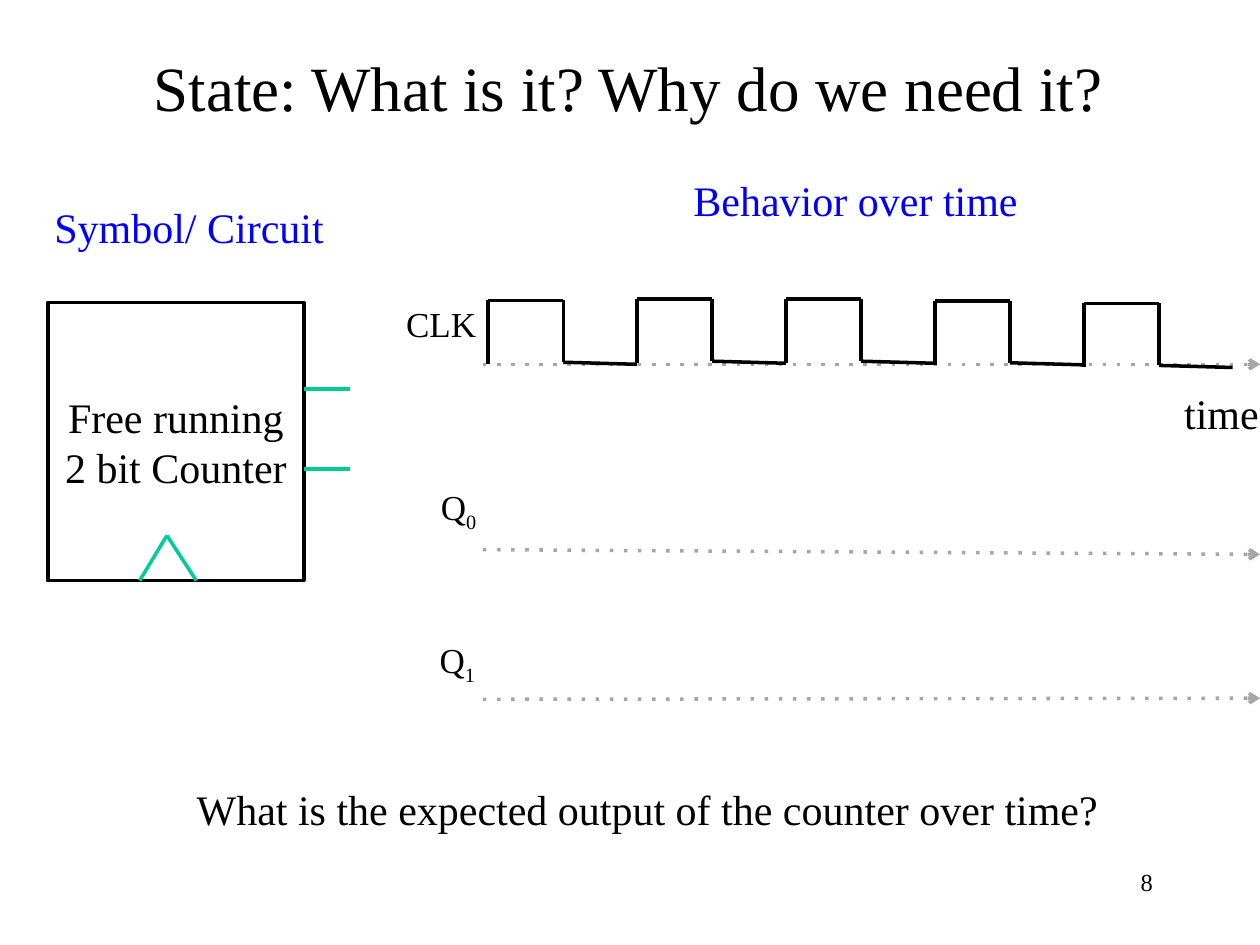
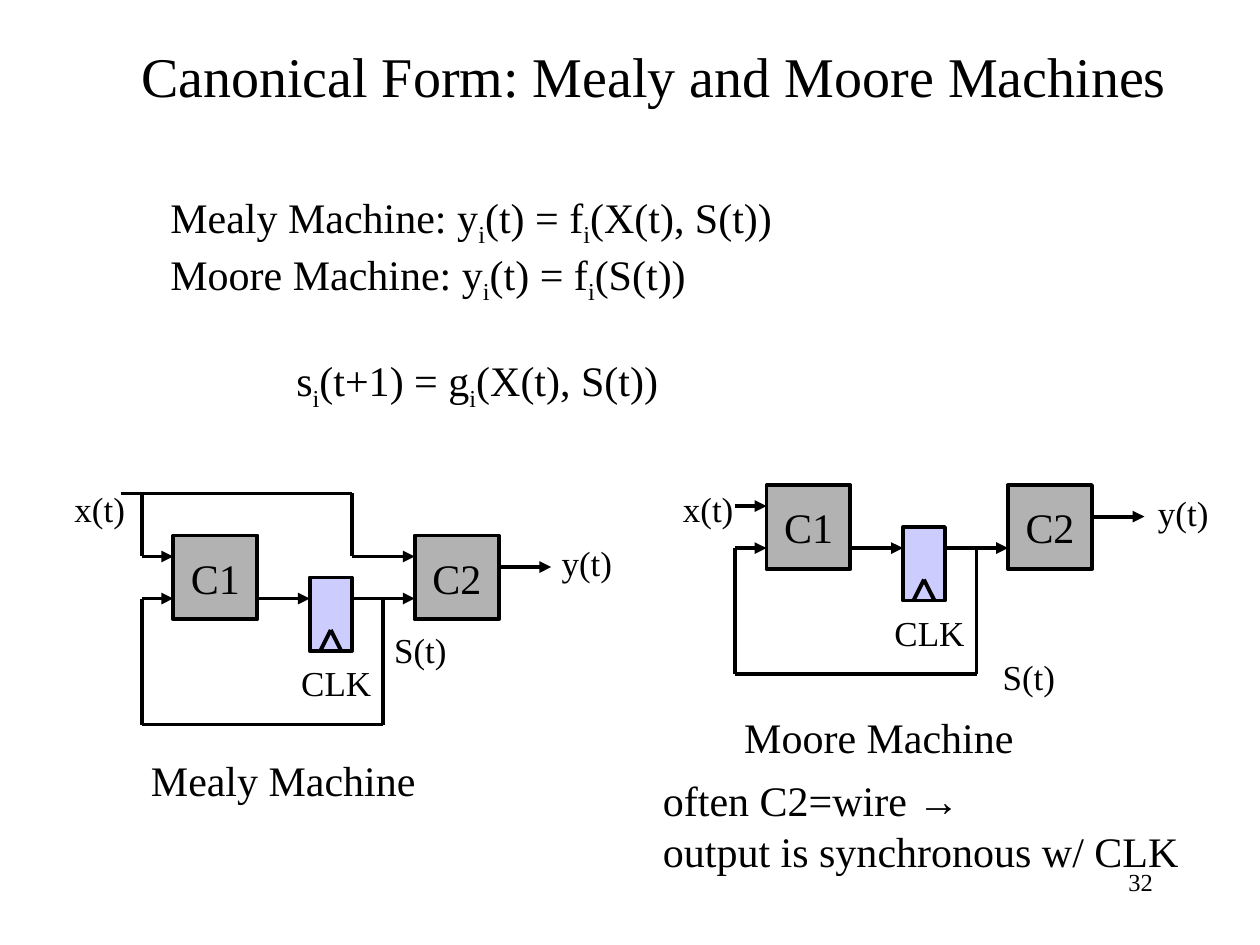
from dataclasses import dataclass
from itertools import groupby, pairwise

from lxml.etree import SubElement
from pptx import Presentation
from pptx.dml.color import RGBColor
from pptx.enum.shapes import MSO_CONNECTOR, MSO_SHAPE
from pptx.enum.text import MSO_ANCHOR, MSO_AUTO_SIZE, PP_ALIGN
from pptx.oxml.ns import qn
from pptx.util import Inches, Pt

CELL = Inches(1) / 12  # the slide is a grid of 120 columns by 90 rows
COLUMNS, ROWS = 120, 90


@dataclass(frozen=True)
class Theme:
    ink: str = "000000"
    paper: str = "FFFFFF"
    heading: str = "0000FF"
    pin: str = "00CC99"
    axis: str = "A6A6A6"
    logic: str = "B2B2B2"
    register: str = "CCCCFF"
    font: str = "Times New Roman"
    symbol_font: str = "Arial"
    title: int = 36
    long_title: int = 32
    body: int = 24
    label: int = 20
    number: int = 14
    hairline: float = 0.75
    thin: float = 2
    thick: float = 2.25


THEME = Theme()


def cells(*values):
    return [round(value * CELL) for value in values]


def colour(code):
    return RGBColor.from_string(code)


def apply_format(target, values):
    for name, value in values.items():
        setattr(target, name, value)


def char_style(pair):
    before, char = pair
    if char == "_":
        return "mark"
    if before == "_":
        return "subscript"
    return "symbol" if char == "→" else "plain"


def write(frame, lines, size, ink=THEME.ink, align=PP_ALIGN.LEFT):
    """Fill a frame; the character after an underscore is a subscript."""
    for index, line in enumerate(lines):
        paragraph = frame.paragraphs[0] if index == 0 else frame.add_paragraph()
        paragraph.alignment = align
        for style, pairs in groupby(zip(" " + line, line), char_style):
            if style == "mark":
                continue
            run = paragraph.add_run()
            run.text = "".join(char for _, char in pairs)
            face = THEME.symbol_font if style == "symbol" else THEME.font
            apply_format(run.font, {"size": Pt(size), "name": face})
            run.font.color.rgb = colour(ink)
            if style == "subscript":
                run.font._element.set("baseline", "-25000")


class Region:
    """A part of a slide whose contents are placed from its own corner."""

    def __init__(self, slide, left=0, top=0):
        self.shapes, self.left, self.top = slide.shapes, left, top

    def place(self, column, row):
        return cells(self.left + column, self.top + row)

    def text(self, column, row, width, height, *lines, size=THEME.body,
             ink=THEME.ink, align=PP_ALIGN.LEFT, wrap=False, anchor=MSO_ANCHOR.TOP):
        box = self.shapes.add_textbox(*self.place(column, row), *cells(width, height))
        fit = MSO_AUTO_SIZE.NONE if wrap else MSO_AUTO_SIZE.SHAPE_TO_FIT_TEXT
        apply_format(box.text_frame, {
            "word_wrap": wrap, "auto_size": fit, "vertical_anchor": anchor})
        write(box.text_frame, lines, size, ink, align)
        return box.text_frame

    def block(self, column, row, width, height, fill, line=THEME.ink,
              weight=THEME.thick, caption="", wrap=False, size=THEME.body,
              align=PP_ALIGN.CENTER, anchor=MSO_ANCHOR.MIDDLE):
        block = self.shapes.add_shape(
            MSO_SHAPE.RECTANGLE, *self.place(column, row), *cells(width, height))
        block.shadow.inherit = False
        if fill:
            block.fill.solid()
            block.fill.fore_color.rgb = colour(fill)
        else:
            block.fill.background()
        block.line.color.rgb = colour(line)
        block.line.width = Pt(weight)
        if caption:
            apply_format(block.text_frame, {"word_wrap": wrap, "vertical_anchor": anchor})
            write(block.text_frame, [caption], size, align=align)

    def wire(self, *points, ink=THEME.ink, weight=THEME.thick, head=None, dash=None):
        """Join the points with straight lines; the last may carry an arrowhead."""
        for start, end in pairwise(points):
            connector = self.shapes.add_connector(
                MSO_CONNECTOR.STRAIGHT, *self.place(*start), *self.place(*end))
            connector.line.color.rgb = colour(ink)
            connector.line.width = Pt(weight)
            properties = connector._element.spPr
            outline = properties.find(qn("a:ln"))
            if dash:
                SubElement(outline, qn("a:prstDash"), val=dash)
            if head and end == points[-1]:
                SubElement(outline, qn("a:tailEnd"), type=head)
            SubElement(properties, qn("a:effectLst"))


def add_page(deck, number, title, box, size):
    slide = deck.slides.add_slide(deck.slide_layouts[6])
    page = Region(slide)
    page.text(*box, title, size=size, align=PP_ALIGN.CENTER, wrap=True,
              anchor=MSO_ANCHOR.MIDDLE)
    page.text(86, 82, 25, 6, str(number), size=THEME.number,
              align=PP_ALIGN.RIGHT, wrap=True)
    return slide


# Counter slide
def add_counter_symbol(slide, left, top):
    symbol = Region(slide, left, top)
    width, height = 24.4, 26.5
    symbol.text(-0.55, -10.2, 28.8, 6, "Symbol/ Circuit", ink=THEME.heading)
    symbol.block(0, 0, width, height, THEME.paper, weight=THEME.thin,
                 caption="Free running 2 bit Counter", wrap=True)
    pen = {"ink": THEME.pin, "weight": THEME.thin}
    symbol.wire((8.75, height), (11.35, 22.2), (14.15, height), **pen)
    for row in (8.25, 15.85):
        symbol.wire((width, row), (28.8, row), **pen)


def add_timing(slide, left, top):
    timing = Region(slide, left, top)
    timing.text(7.74, -12.55, 54.5, 6, "Behavior over time", ink=THEME.heading,
                align=PP_ALIGN.CENTER, wrap=True)
    # Time axes
    end = COLUMNS - left
    for start_row, end_row in ((6.1, 6.1), (23.75, 24.2), (38, 37.9)):
        timing.wire((-0.5, start_row), (end, end_row), ink=THEME.axis,
                    weight=THEME.thin, head="arrow", dash="dot")
    timing.text(65.1, 7.75, 10, 6, "time")
    # Signal names
    for name, column, row, width in (
            ("CLK", -9, -0.4, 9.8), ("Q_0", -5.7, 17.05, 6.2), ("Q_1", -5.82, 31.6, 6.2)):
        timing.text(column, row, width, 5.5, name, size=THEME.label)
    # Clock pulses
    period, high, swing = 14.18, 7.15, 6
    for pulse, rise in enumerate((0, -0.1, -0.1, 0.05, 0.3)):
        begin = pulse * period
        fall = begin + high
        timing.wire((begin, rise + swing + 0.1), (begin, rise), (fall, rise),
                    (fall, rise + swing - 0.1), (begin + period, rise + swing + 0.1),
                    weight=THEME.thin)


def build_counter_slide(deck):
    slide = add_page(deck, 8, "State: What is it? Why do we need it?",
                     (8.85, 0.7, 102, 15), THEME.title)
    add_counter_symbol(slide, 4.55, 28.8)
    add_timing(slide, 46.5, 28.6)
    Region(slide).text(17.55, 74, 90, 6,
                       "What is the expected output of the counter over time?")


# Machines slide
def add_equations(slide, left, top):
    frame = Region(slide, left, top).text(
        0, 0, 61, 22.4,
        "Mealy Machine: y_i(t) = f_i(X(t), S(t))",
        "Moore Machine: y_i(t) = f_i(S(t))",
        "s_i(t+1) = g_i(X(t), S(t))")
    next_state = frame.paragraphs[-1]
    next_state.space_before = Pt(28)
    next_state._p.get_or_add_pPr().set("marL", str(Inches(1)))


def add_machine(slide, left, top, caption, caption_row, inputs, labels):
    machine = Region(slide, left, top)
    side, second, flop, state_row, tap, back = 8, 23, 13, 6, 20, -3
    # Signal names, under the wires
    for name, (column, row) in labels.items():
        machine.block(column, row, 9 if name == "CLK" else 7.25, 5.25, None,
                      line=THEME.paper, weight=THEME.hairline, caption=name,
                      size=THEME.label, align=PP_ALIGN.LEFT, anchor=MSO_ANCHOR.TOP)
    # Logic blocks and clocked register
    for column, name in ((0, "C1"), (second, "C2")):
        machine.block(column, 0, side, side, THEME.logic, caption=name)
    machine.block(flop, 4, 4, 7, THEME.register)
    machine.wire((flop + 1, 11), (flop + 2, 9), (flop + 3, 11))
    # State path, output and feedback
    for start, end, row in ((side, flop, state_row), (flop + 4, second, state_row),
                            (second + side, second + side + 5, 3)):
        machine.wire((start, row), (end, row), head="triangle")
    machine.wire((tap, state_row), (tap, 18), (back, 18), (back, state_row),
                 (0, state_row), head="triangle")
    for points in inputs:
        machine.wire(*points, head="triangle")
    machine.text(-3.3, caption_row, 28.8, 6, caption)


def build_machines_slide(deck):
    slide = add_page(deck, 32, "Canonical Form: Mealy and Moore Machines",
                     (8.6, 0, 107.4, 14.3), THEME.long_title)
    add_equations(slide, 15.05, 17.6)
    add_machine(
        slide, 16.5, 51, "Mealy Machine", 20.3,
        inputs=[[(-5, -4), (17, -4), (17, 2), (23, 2)], [(-3, -4), (-3, 2), (0, 2)]],
        labels={"x(t)": (-10.6, -5.2), "y(t)": (35.8, 0),
                "S(t)": (19.85, 8.3), "CLK": (11, 11.4)})
    add_machine(
        slide, 73, 46.2, "Moore Machine", 21,
        inputs=[[(-3, 2), (0, 2)]],
        labels={"x(t)": (-9.15, -0.4), "y(t)": (36.1, 0),
                "S(t)": (21.3, 15.6), "CLK": (11, 11.4)})
    Region(slide).text(61.95, 73.2, 52, 10.8,
                       "often C2=wire →", "output is synchronous w/ CLK")


def main():
    deck = Presentation()
    deck.slide_width, deck.slide_height = cells(COLUMNS, ROWS)
    build_counter_slide(deck)
    build_machines_slide(deck)
    deck.save("out.pptx")


if __name__ == "__main__":
    main()
